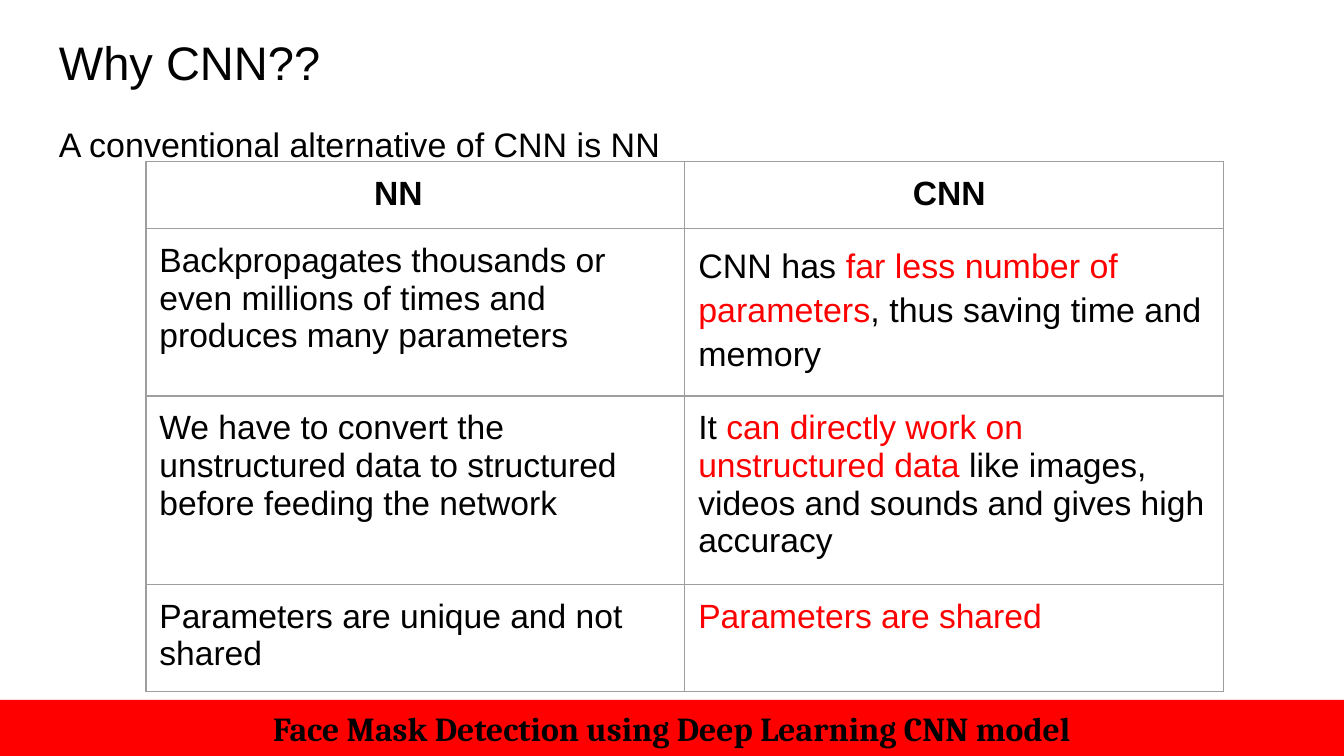
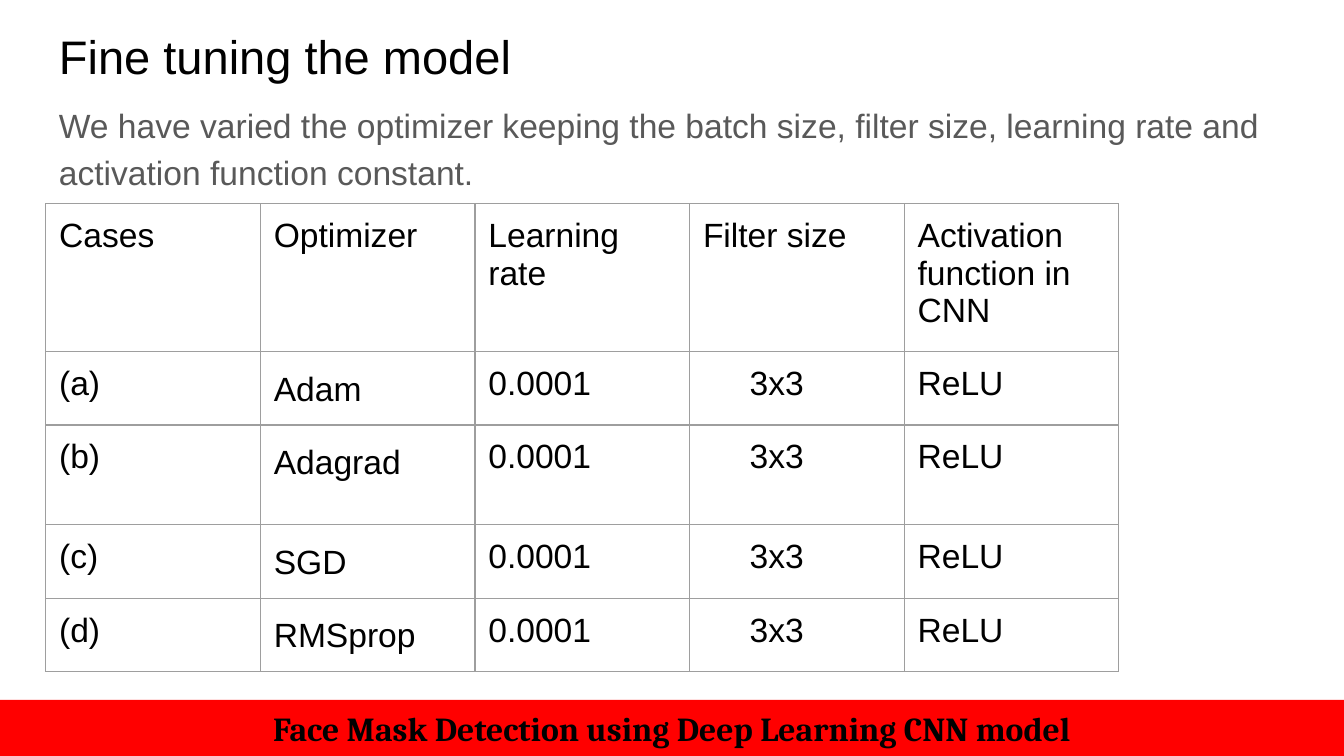
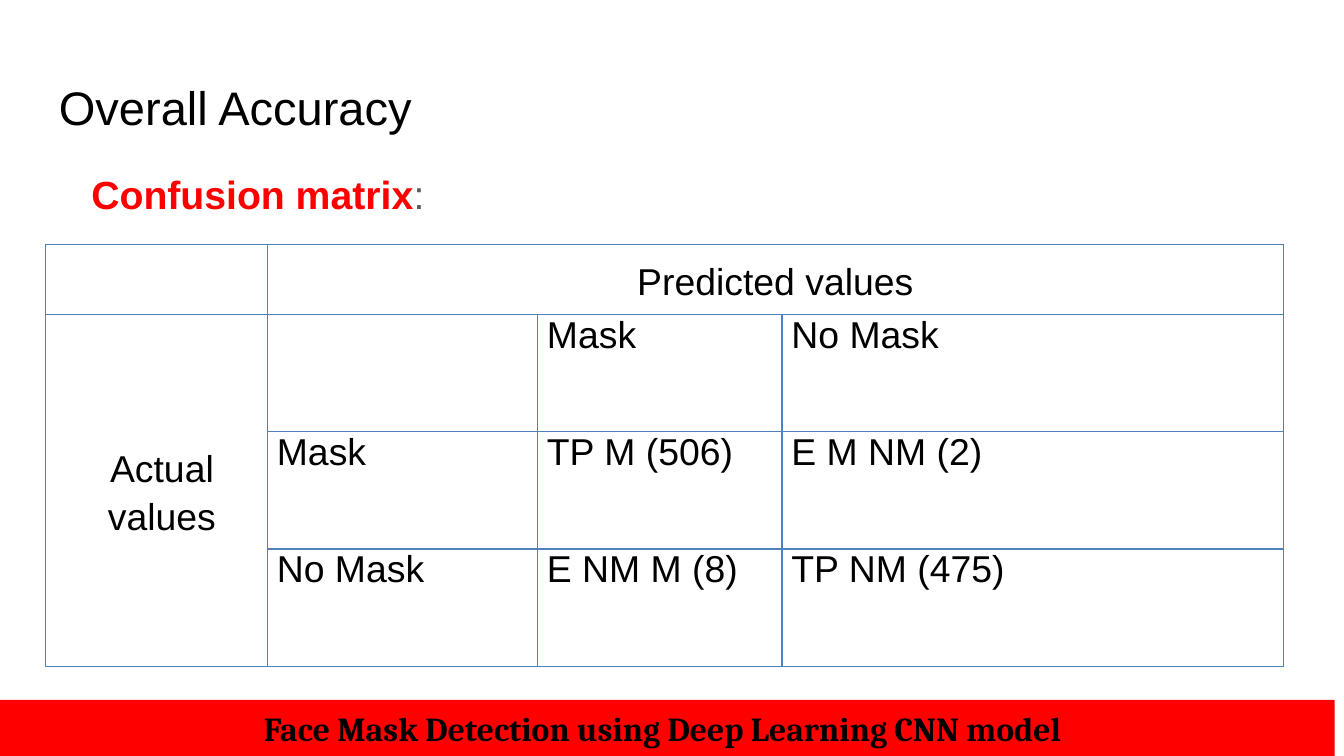
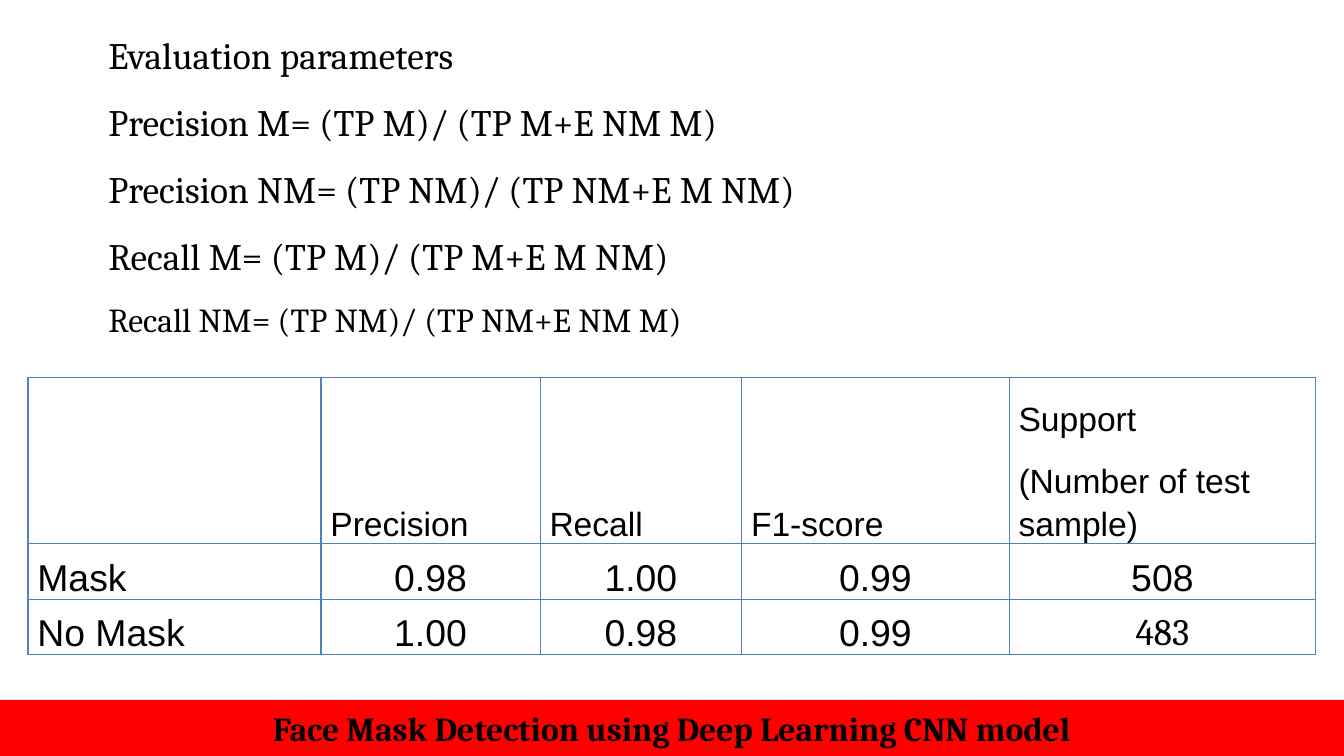
from pptx import Presentation
from pptx.dml.color import RGBColor
from pptx.enum.shapes import MSO_SHAPE
from pptx.enum.text import MSO_ANCHOR, PP_ALIGN
from pptx.oxml.ns import qn
from pptx.util import Pt
from lxml.etree import SubElement

BLACK = RGBColor(0x00, 0x00, 0x00)
RED = RGBColor(0xFF, 0x00, 0x00)
GREY = RGBColor(0x59, 0x59, 0x59)
RULE_GREY = RGBColor(0x9E, 0x9E, 0x9E)
RULE_BLUE = RGBColor(0x4F, 0x81, 0xBD)

SLIDE_W, SLIDE_H = 720, 405
BAND_H = 30
PLAIN_INSETS = (7.2, 7.2, 7.2, 7.2)
SHAPE_INSETS = (7.2, 3.6, 7.2, 3.6)
TIGHT_INSETS = (5.04, 0, 5.04, 0)
FOOTER = "Face Mask Detection using Deep Learning CNN model"


def para(*runs, **fmt):
    return runs, fmt


def red(text):
    return text, {"color": RED}


def justified(text, **fmt):
    return para(text, align=PP_ALIGN.JUSTIFY, **fmt)


def centred(text, **fmt):
    return para(text, align=PP_ALIGN.CENTER, spacing=1.15, **fmt)


def score_row(label, *values):
    return [[justified(label, size=20, spacing=1.15)]] + [[centred(v, size=20)] for v in values]


COMPARISON = [
    [[para(name, bold=True, left=115)] for name in ("NN", "CNN")],
    [[para("Backpropagates thousands or even millions of times and produces many parameters")],
     [para("CNN has", red(" far less number of parameters"), ", thus saving time and memory",
           size=18.2, spacing=1.15)]],
    [[para("We have to convert the unstructured data to structured before feeding the network")],
     [para("It ", red("can directly work on unstructured data"),
           " like images, videos and sounds and gives high accuracy")]],
    [[para("Parameters are unique and not shared")], [para(red("Parameters are shared"))]],
]

OPTIMIZERS = ("Adam", "Adagrad", "SGD", "RMSprop")
TUNING_HEAD = ("Cases", "Optimizer", "Learning rate", "Filter size", "Activation function in CNN")
TUNING = [[[para(head)] for head in TUNING_HEAD]] + [
    [[para(f"({case})")], [para(optimizer, spacing=1.15)], [para("0.0001")],
     [para("3x3", left=25)], [para("ReLU")]]
    for case, optimizer in zip("abcd", OPTIMIZERS)
]

CONFUSION = [
    [[], [centred("Predicted values")], [], []],
    [[centred("Actual values", left=5.76)], [], [justified("Mask")], [justified("No Mask")]],
    [[]] + [[justified(t)] for t in ("Mask", "TP M (506)", "E M NM (2)")],
    [[]] + [[justified(t)] for t in ("No Mask", "E NM M (8)", "TP NM (475)")],
]

SCORES = [
    [[]] + [[justified(t, spacing=1.15)] for t in ("Precision", "Recall", "F1-score")]
    + [[justified("Support", spacing=1.15),
        para("(Number of test sample)", spacing=1.15, before=10)]],
    score_row("Mask", "0.98", "1.00", "0.99", "508"),
    score_row("No Mask", "1.00", "0.98", "0.99", ("483", {"font": "Cambria"})),
]

FORMULAS = [
    ("Evaluation parameters", 20),
    ("Precision M= (TP M)/ (TP M+E NM M)", 20),
    ("Precision NM= (TP NM)/ (TP NM+E M NM)", 20),
    ("Recall M= (TP M)/ (TP M+E M NM)", 20),
    ("Recall NM= (TP NM)/ (TP NM+E NM M)", 18),
]


def write(tf, paras, **base):
    for i, (runs, fmt) in enumerate(paras):
        style = {"size": 18, "font": "Arial", "color": BLACK, "bold": False, **base, **fmt}
        p = tf.paragraphs[0] if i == 0 else tf.add_paragraph()
        p.alignment = style.get("align", PP_ALIGN.LEFT)
        p.line_spacing = style.get("spacing", 1.0)
        p.space_before = Pt(style.get("before", 0))
        p.space_after = Pt(style.get("after", 0))
        pPr = p._p.get_or_add_pPr()
        pPr.set("marL", str(Pt(style.get("left", 0))))
        pPr.set("indent", str(Pt(style.get("first", 0))))
        for run in runs:
            text, own = (run, {}) if isinstance(run, str) else run
            look = {**style, **own}
            r = p.add_run()
            r.text = text
            r.font.size = Pt(look["size"])
            r.font.name = look["font"]
            r.font.bold = look["bold"]
            r.font.color.rgb = look["color"]


def set_insets(target, insets):
    target.margin_left, target.margin_top, target.margin_right, target.margin_bottom = map(Pt, insets)


def add_text(slide, box, paras, insets=PLAIN_INSETS, anchor=MSO_ANCHOR.TOP, **base):
    tf = slide.shapes.add_textbox(*map(Pt, box)).text_frame
    tf.word_wrap = True
    tf.vertical_anchor = anchor
    set_insets(tf, insets)
    write(tf, paras, **base)


def add_title(slide, text, top):
    add_text(slide, (24.5, top, 671, 45), [para(text)], size=25.2)


def add_band(slide, left=0):
    sp = slide.shapes.add_shape(MSO_SHAPE.RECTANGLE, Pt(left), Pt(SLIDE_H - BAND_H),
                                Pt(SLIDE_W), Pt(BAND_H))
    sp.shadow.inherit = False
    sp.fill.solid()
    sp.fill.fore_color.rgb = RED
    sp.line.fill.background()
    tf = sp.text_frame
    tf.word_wrap = True
    tf.vertical_anchor = MSO_ANCHOR.MIDDLE
    set_insets(tf, SHAPE_INSETS)
    write(tf, [para(FOOTER, align=PP_ALIGN.CENTER)], font="Cambria", bold=True)


def set_borders(cell, color):
    tcPr = cell._tc.get_or_add_tcPr()
    for i, side in enumerate(("lnL", "lnR", "lnT", "lnB")):
        ln = tcPr.makeelement(qn(f"a:{side}"), {"w": str(Pt(0.75))})
        fill = SubElement(ln, qn("a:solidFill"))
        SubElement(fill, qn("a:srgbClr"), val=str(color))
        tcPr.insert(i, ln)


def add_grid(slide, left, top, cols, rows, cells, rule, insets=PLAIN_INSETS,
             anchor=MSO_ANCHOR.TOP, merges=(), **base):
    table = slide.shapes.add_table(len(rows), len(cols), Pt(left), Pt(top),
                                   Pt(sum(cols)), Pt(sum(rows))).table
    table.first_row = table.horz_banding = False
    for column, width in zip(table.columns, cols):
        column.width = Pt(width)
    for row, height in zip(table.rows, rows):
        row.height = Pt(height)
    for r, line in enumerate(cells):
        for c, paras in enumerate(line):
            cell = table.cell(r, c)
            cell.fill.background()
            set_borders(cell, rule)
            set_insets(cell, insets)
            cell.vertical_anchor = anchor
            write(cell.text_frame, paras, **base)
    for start, end in merges:
        table.cell(*start).merge(table.cell(*end))
        table.cell(*start).vertical_anchor = MSO_ANCHOR.MIDDLE


def why_cnn(slide):
    add_title(slide, "Why CNN??", 10.8)
    add_text(slide, (24.5, 56, 671, 269), [para("A conventional alternative of CNN is NN")],
             size=18.2, spacing=1.15)
    add_grid(slide, 78.2, 86.4, [288.7] * 2, [31, 75, 87, 50], COMPARISON, RULE_GREY)
    add_band(slide)


def fine_tuning(slide):
    add_title(slide, "Fine tuning the model", 7.5)
    add_text(slide, (24.5, 46, 671, 269),
             [para("We have varied the optimizer keeping the batch size, filter size, "
                   "learning rate and activation function constant.")],
             color=GREY, spacing=1.15, after=12)
    add_grid(slide, 24.5, 109.2, [115] * 5, [70, 31.7, 53.5, 31.7, 36], TUNING, RULE_GREY)
    add_band(slide)


def overall_accuracy(slide):
    add_title(slide, "Overall Accuracy", 35)
    add_text(slide, (41.8, 80, 553.7, 78.5),
             [para(("Confusion matrix", {"color": RED, "bold": True}), ":")],
             size=21, color=GREY, spacing=1.15)
    add_band(slide, -5)
    add_grid(slide, 24.5, 131, [118.8, 144.7, 131, 268.6], [37.6] + [62.8] * 3, CONFUSION,
             RULE_BLUE, TIGHT_INSETS, merges=[((0, 1), (0, 3)), ((1, 0), (3, 0))], size=20)


def evaluation(slide):
    add_band(slide)
    add_text(slide, (15, -5, 690, 254), [justified(text, size=size) for text, size in FORMULAS],
             (7.2, 3.6, 7.2, 61), MSO_ANCHOR.MIDDLE, font="Cambria", spacing=1.5, first=36)
    add_grid(slide, 15, 202.3, [157, 117.4, 108, 143.3, 164.2], [89, 29.7, 29.7], SCORES,
             RULE_BLUE, TIGHT_INSETS, MSO_ANCHOR.BOTTOM)


def main():
    prs = Presentation()
    prs.slide_width, prs.slide_height = Pt(SLIDE_W), Pt(SLIDE_H)
    for build in (why_cnn, fine_tuning, overall_accuracy, evaluation):
        build(prs.slides.add_slide(prs.slide_layouts[6]))
    prs.save("out.pptx")


if __name__ == "__main__":
    main()
